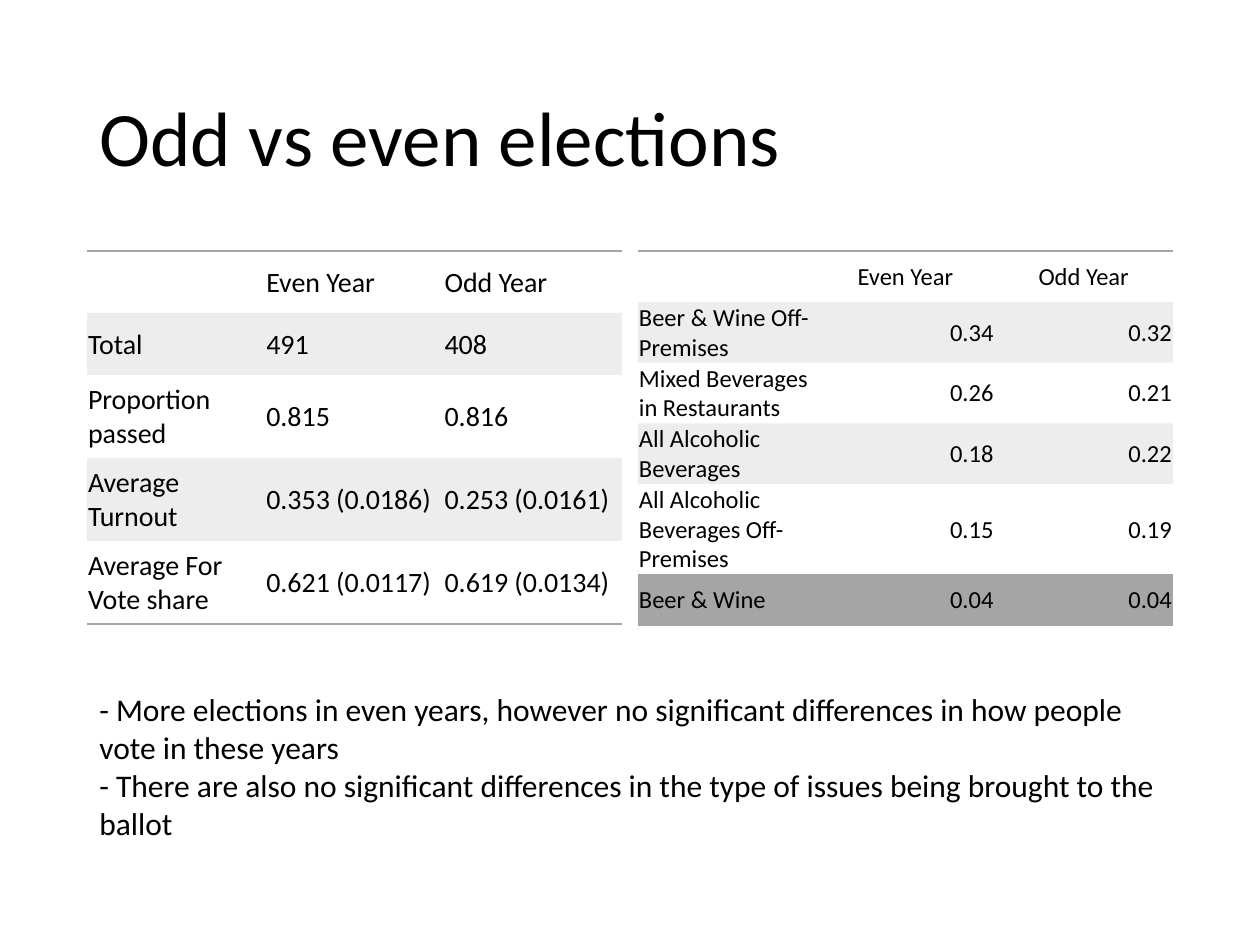
import pptx
import pptx.util
import pptx.dml.color
import pptx.enum.text
import pptx.oxml
import pptx.oxml.ns

SCALE = 914400 / 126
ALIGN = pptx.enum.text.PP_ALIGN
MIDDLE = pptx.enum.text.MSO_ANCHOR.MIDDLE
qn = pptx.oxml.ns.qn


def px(count):
    return pptx.util.Emu(round(count * SCALE))


def color(code):
    return pptx.dml.color.RGBColor.from_string(code)


class Deck:
    font = "Calibri"
    ink = "000000"
    gray = "A5A5A5"

    def __init__(self, wide, high):
        self.show = pptx.Presentation()
        self.show.slide_width, self.show.slide_height = px(wide), px(high)
        self.slide = self.show.slides.add_slide(self.show.slide_layouts[5])

    def style(self, para, size, align=ALIGN.LEFT):
        para.alignment = align
        para.font.name = self.font
        para.font.size = pptx.util.Pt(size)
        para.font.color.rgb = color(self.ink)

    def title(self, text, left, top, wide, high):
        shape = self.slide.shapes.title
        shape.left, shape.top, shape.width, shape.height = map(px, (left, top, wide, high))
        shape.text_frame.text = text
        shape.text_frame.vertical_anchor = MIDDLE
        para = shape.text_frame.paragraphs[0]
        para.line_spacing = 0.9
        self.style(para, 44)

    def note(self, lines, left, top, wide, high, size):
        box = self.slide.shapes.add_textbox(*map(px, (left, top, wide, high)))
        box.text_frame.word_wrap = True
        box.text_frame.text = "\n".join(lines)
        for para in box.text_frame.paragraphs:
            self.style(para, size)

    def edge(self, cell, sides):
        """Draw gray lines on the named sides (of L, R, T, B) and clear the rest."""
        props = cell._tc.get_or_add_tcPr()
        for side in "LRTB":
            line = pptx.oxml.parse_xml(f'<a:ln{side} {pptx.oxml.ns.nsdecls("a")} w="12700"/>')
            if side in sides:
                fill = line.makeelement(qn("a:solidFill"))
                fill.append(line.makeelement(qn("a:srgbClr"), {"val": self.gray}))
            else:
                fill = line.makeelement(qn("a:noFill"))
            line.append(fill)
            props.append(line)

    def shade(self, cell, band):
        if not band:
            cell.fill.background()
            return
        cell.fill.solid()
        cell.fill.fore_color.rgb = color(self.gray)
        tint = cell._tc.tcPr.find(".//" + qn("a:srgbClr"))
        tint.append(tint.makeelement(qn("a:alpha"), {"val": "20000"}))

    def table(self, rows, left, top, wide, highs, size, head, body):
        """head and body are the alignments of the value columns."""
        cols = len(rows[0])
        grid = self.slide.shapes.add_table(
            len(rows), cols, px(left), px(top), px(wide), px(sum(highs))).table
        grid.first_row = grid.horz_banding = False
        for col in grid.columns:
            col.width = px(wide / cols)
        for r, (row, high) in enumerate(zip(rows, highs)):
            grid.rows[r].height = px(high)
            sides = "TB" if r == 0 else "B" if r == len(rows) - 1 else ""
            for c, text in enumerate(row):
                cell = grid.cell(r, c)
                cell.text = text
                cell.vertical_anchor = MIDDLE
                cell.margin_left = cell.margin_right = cell.margin_top = px(1)
                cell.margin_bottom = 0
                align = ALIGN.LEFT if c == 0 else head if r == 0 else body
                self.style(cell.text_frame.paragraphs[0], size, align)
                self.edge(cell, sides)
                self.shade(cell, r % 2 == 1)


HEAD = ("", "Even Year", "Odd Year")
VOTES = [
    HEAD,
    ("Total", "491", "408"),
    ("Proportion passed", "0.815", "0.816"),
    ("Average Turnout", "0.353 (0.0186)", "0.253 (0.0161)"),
    ("Average For Vote share", "0.621 (0.0117)", "0.619 (0.0134)"),
]
ISSUES = [
    HEAD,
    ("Beer & Wine Off-Premises", "0.34", "0.32"),
    ("Mixed Beverages in Restaurants", "0.26", "0.21"),
    ("All Alcoholic Beverages", "0.18", "0.22"),
    ("All Alcoholic Beverages Off-Premises", "0.15", "0.19"),
    ("Beer & Wine", "0.04", "0.04"),
]
NOTES = [
    "- More elections in even years, however no significant differences "
    "in how people vote in these years",
    "- There are also no significant differences in the type of issues "
    "being brought to the ballot",
]


def main():
    deck = Deck(1260, 945)
    deck.title("Odd vs even elections", 87, 50, 1086, 183)
    deck.table(VOTES, 87, 251, 535, [62] * 2 + [83] * 3, 16, ALIGN.LEFT, ALIGN.LEFT)
    deck.table(ISSUES, 638, 251, 535, [51] * 6, 14, ALIGN.CENTER, ALIGN.RIGHT)
    deck.note(NOTES, 87, 684, 1086, 165, 18)
    deck.show.save("out.pptx")


if __name__ == "__main__":
    main()
